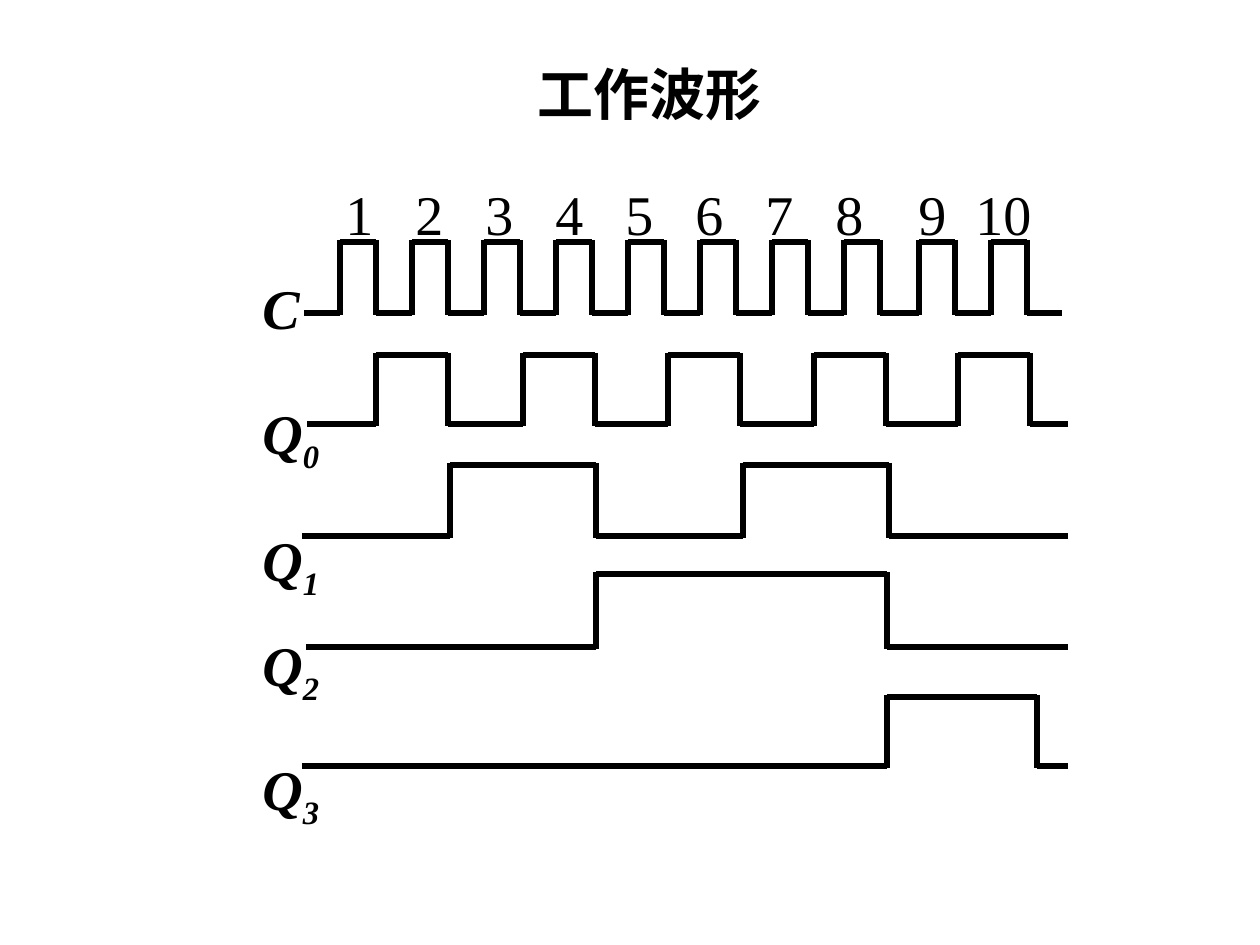
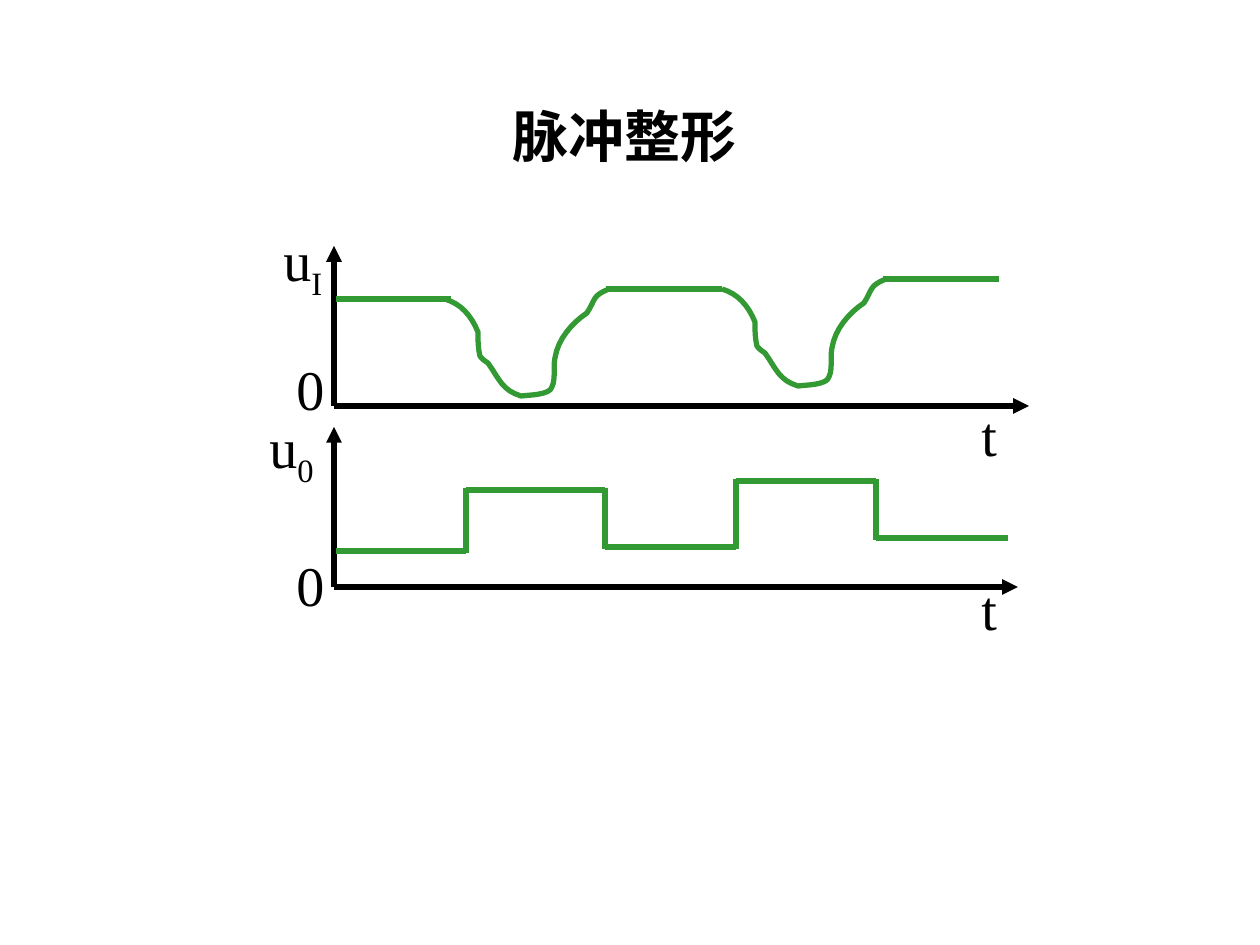
from itertools import cycle, pairwise

from lxml import etree
from pptx import Presentation
from pptx.dml.color import RGBColor
from pptx.enum.shapes import MSO_CONNECTOR
from pptx.enum.text import MSO_AUTO_SIZE, PP_ALIGN
from pptx.oxml.ns import qn
from pptx.util import Pt

STRAIGHT = MSO_CONNECTOR.STRAIGHT
LEFT, CENTER = PP_ALIGN.LEFT, PP_ALIGN.CENTER
FIT_SHAPE = MSO_AUTO_SIZE.SHAPE_TO_FIT_TEXT

PX = 914400 / 126
COLORS = {"ink": "000000", "pulse": "339933"}
FONT = "Times New Roman"
TEXT_SIZE = Pt(32)
LINE_WIDTH = Pt(3)
INSET = 13
OVERLAP = 2
LABEL_H, SUB_LABEL_H = 81, 89

TIMING_TITLE = ("工作波形", 525, 53, 284, LEFT)
SHAPING_TITLE = ("脉冲整形", 325, 95, 599, CENTER)

CLOCK_EDGES = [340 + 36 * i for i in range(16)] + [919 + 36 * i for i in range(4)]
TIMING_SIGNALS = [
    {"name": "C", "sub": "", "top": 267, "low": 313, "high": 242,
     "xs": [304, *CLOCK_EDGES, 1062]},
    {"name": "Q", "sub": "0", "top": 392, "low": 424, "high": 355,
     "xs": [307, 376, 448, 523, 595, 668, 740, 814, 886, 958, 1030, 1068]},
    {"name": "Q", "sub": "1", "top": 519, "low": 536, "high": 465,
     "xs": [302, 450, 596, 743, 889, 1068]},
    {"name": "Q", "sub": "2", "top": 624, "low": 647, "high": 574,
     "xs": [306, 596, 887, 1068]},
    {"name": "Q", "sub": "3", "top": 748, "low": 766, "high": 697,
     "xs": [302, 887, 1037, 1068]},
]
SIGNAL_LABEL_X, SIGNAL_LABEL_W = 250, 104

PULSE_ROW = (320, 173, 809)
PULSE_CENTERS = [360 + 70 * i for i in range(8)] + [933, 1004]

AXES = [
    {"origin": (334, 406), "x_end": 1029, "y_end": 246},
    {"origin": (334, 587), "x_end": 1018, "y_end": 427},
]
AXIS_LABELS = [
    ("u", "I", 271, 219), ("0", "", 284, 348), ("t", "", 969, 394),
    ("u", "0", 257, 406), ("0", "", 284, 544), ("t", "", 969, 568),
]
AXIS_LABEL_W = 94

INPUT_PLATEAUS = [(336, 451, 299), (606, 722, 289), (883, 999, 279)]
DIP_STARTS = [(445, 299), (722, 289)]
DIP_CURVES = [
    [(16, 5), (26, 16), (33, 33)],
    [(33, 40), (33, 49), (35, 57)],
    [(37, 60), (40, 62), (43, 64)],
    [(55, 81), (57, 91), (76, 97)],
    [(84, 96), (105, 96), (107, 88)],
    [(111, 79), (108, 69), (110, 59)],
    [(113, 40), (127, 24), (142, 14)],
    [(151, 0), (147, -3), (164, -10)],
]
CURVE_STEPS = 8
OUTPUT_XS = [336, 466, 605, 736, 876, 1008]
OUTPUT_LEVELS = [551, 490, 547, 481, 538]


def emu(px):
    return round(px * PX)


def style_line(line, color):
    line.color.rgb = RGBColor.from_string(COLORS[color])
    line.width = LINE_WIDTH


def add_line(shapes, start, end, color="ink", arrow=False):
    c = shapes.add_connector(STRAIGHT, *map(emu, (*start, *end)))
    style_line(c.line, color)
    if arrow:
        etree.SubElement(c.line._get_or_add_ln(), qn("a:tailEnd"), type="triangle")
    etree.SubElement(c._element.spPr, qn("a:effectLst"))


def add_text(shapes, text, x, y, w, sub="", bold=False, italic=False,
             align=LEFT, tabs=()):
    h = SUB_LABEL_H if sub else LABEL_H
    tf = shapes.add_textbox(*map(emu, (x, y, w, h))).text_frame
    tf.word_wrap = True
    tf.auto_size = FIT_SHAPE
    p = tf.paragraphs[0]
    p.alignment = align
    if tabs:
        tab_list = etree.SubElement(p._p.get_or_add_pPr(), qn("a:tabLst"))
        for center in tabs:
            etree.SubElement(tab_list, qn("a:tab"),
                             pos=str(emu(center - x - INSET)), algn="ctr")
    for part, baseline in ((text, None), (sub, "-25000")):
        if not part:
            continue
        r = p.add_run()
        r.text = part
        r.font.name = FONT
        r.font.size = TEXT_SIZE
        r.font.bold = bold
        r.font.italic = italic
        r.font.color.rgb = RGBColor.from_string(COLORS["ink"])
        if baseline:
            r._r.get_or_add_rPr().set("baseline", baseline)


def add_title(s, title):
    text, x, y, w, align = title
    add_text(s.shapes, text, x, y, w, bold=True, align=align)


def add_square_wave(shapes, xs, levels, color="ink"):
    for (x1, x2), y in zip(pairwise(xs), levels):
        add_line(shapes, (x1, y), (x2, y), color)
    for x, (y1, y2) in zip(xs[1:], pairwise(levels)):
        add_line(shapes, (x, min(y1, y2) - OVERLAP),
                 (x, max(y1, y2) + OVERLAP), color)


def bezier(p0, p1, p2, p3, t):
    u = 1 - t
    return tuple(u**3 * a + 3 * u * u * t * b + 3 * u * t * t * c + t**3 * d
                 for a, b, c, d in zip(p0, p1, p2, p3))


def add_dip(shapes, x, y):
    points, start = [], (0, 0)
    for curve in DIP_CURVES:
        for i in range(1, CURVE_STEPS + 1):
            dx, dy = bezier(start, *curve, i / CURVE_STEPS)
            points.append((emu(x + dx), emu(y + dy)))
        start = curve[-1]
    builder = shapes.build_freeform(emu(x), emu(y))
    builder.add_line_segments(points, close=False)
    sp = builder.convert_to_shape()
    sp.shadow.inherit = False
    sp.fill.background()
    style_line(sp.line, "pulse")


def build_timing(s):
    add_title(s, TIMING_TITLE)
    for signal in TIMING_SIGNALS:
        shapes = s.shapes.add_group_shape().shapes
        add_text(shapes, signal["name"], SIGNAL_LABEL_X, signal["top"],
                 SIGNAL_LABEL_W, signal["sub"], bold=True, italic=True)
        xs = signal["xs"]
        levels = [y for _, y in zip(xs[1:], cycle((signal["low"], signal["high"])))]
        add_square_wave(shapes, xs, levels)
    numbers = "".join(f"\t{n}" for n in range(1, len(PULSE_CENTERS) + 1))
    add_text(s.shapes, numbers, *PULSE_ROW, tabs=PULSE_CENTERS)


def build_shaping(s):
    add_title(s, SHAPING_TITLE)
    shapes = s.shapes.add_group_shape().shapes
    for axis in AXES:
        x, y = axis["origin"]
        add_line(shapes, (x, y), (axis["x_end"], y), arrow=True)
        add_line(shapes, (x, y), (x, axis["y_end"]), arrow=True)
    for text, sub, x, y in AXIS_LABELS:
        add_text(shapes, text, x, y, AXIS_LABEL_W, sub)
    for x1, x2, y in INPUT_PLATEAUS:
        add_line(shapes, (x1, y), (x2, y), "pulse")
    for x, y in DIP_STARTS:
        add_dip(shapes, x, y)
    add_square_wave(shapes, OUTPUT_XS, OUTPUT_LEVELS, "pulse")


def main():
    prs = Presentation()
    prs.slide_width, prs.slide_height = emu(1260), emu(945)
    for build in (build_timing, build_shaping):
        build(prs.slides.add_slide(prs.slide_layouts[6]))
    prs.save("out.pptx")


if __name__ == "__main__":
    main()
